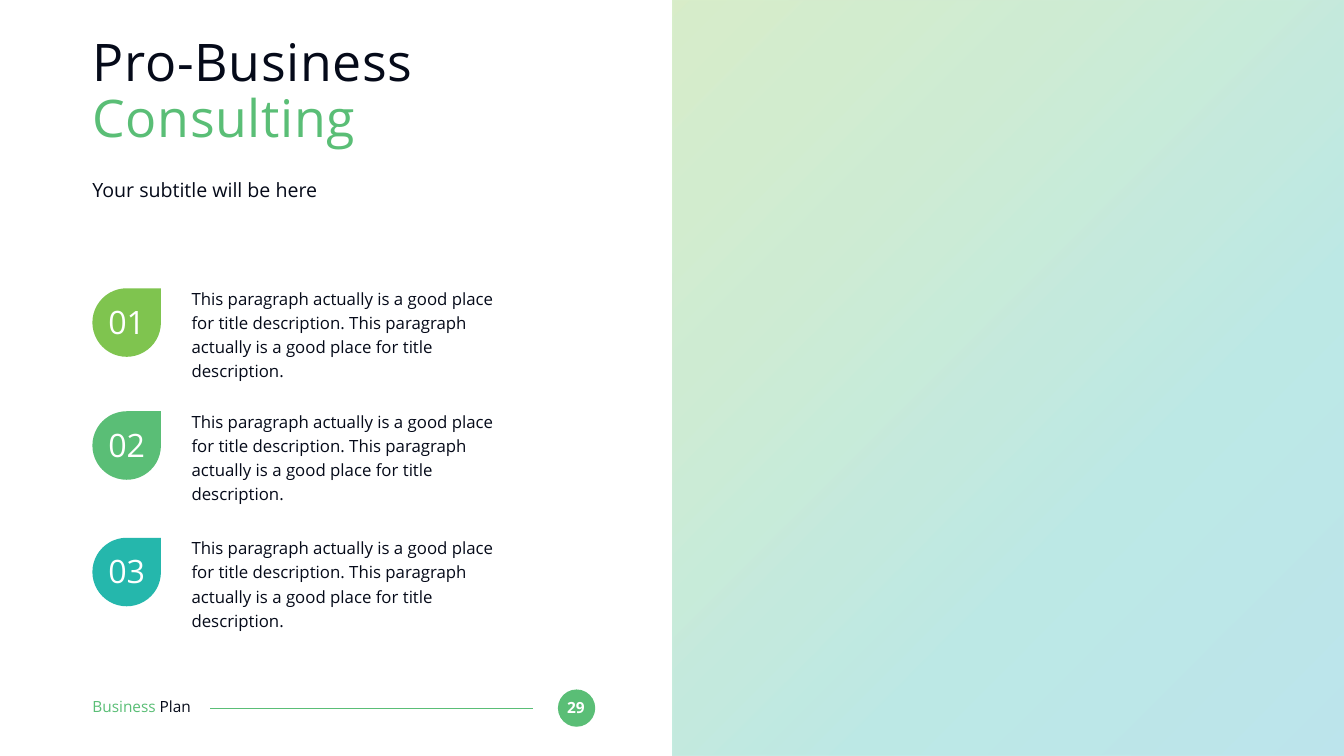
from dataclasses import dataclass

from lxml import etree
from pptx import Presentation
from pptx.dml.color import RGBColor
from pptx.enum.shapes import MSO_CONNECTOR, MSO_SHAPE
from pptx.enum.text import MSO_ANCHOR, MSO_AUTO_SIZE, PP_ALIGN
from pptx.oxml import parse_xml
from pptx.oxml.ns import nsdecls, qn
from pptx.util import Inches, Pt

STRAIGHT = MSO_CONNECTOR.STRAIGHT
RECTANGLE, OVAL, TEARDROP = MSO_SHAPE.RECTANGLE, MSO_SHAPE.OVAL, MSO_SHAPE.TEAR
LEFT, CENTER = PP_ALIGN.LEFT, PP_ALIGN.CENTER
TOP = MSO_ANCHOR.TOP
FIXED, GROW = MSO_AUTO_SIZE.NONE, MSO_AUTO_SIZE.SHAPE_TO_FIT_TEXT

COLUMNS, ROWS = 80, 45
CELL = Inches(1 / 3)
MARGIN = 5.5
HALF = COLUMNS / 2
DESCRIPTION = " ".join(["This paragraph actually is a good place for title description."] * 2)


@dataclass(frozen=True)
class Theme:
    """Colours, type sizes and font of the slide."""

    font: str = "Open Sans"
    ink: str = "050A19"
    white: str = "FFFFFF"
    lime: str = "7FC44F"
    green: str = "5ABE76"
    teal: str = "25B7AC"
    blue: str = "26A6C1"
    title: int = 74
    subtitle: int = 28
    number: int = 46
    description: int = 24
    footer: int = 22


THEME = Theme()


def cells(*values):
    """Convert grid counts to slide lengths."""
    return [round(value * CELL) for value in values]


def place(shape, left, top, width, height):
    """Move and size a shape on the grid."""
    shape.left, shape.top, shape.width, shape.height = cells(left, top, width, height)


def write_text(shape, runs, size, align=LEFT, bold=False, line_spacing=None,
               space_before=0, letter_spacing=None, auto_size=GROW):
    """Fill a shape with one paragraph of (text, colour) runs."""
    frame = shape.text_frame
    frame.margin_left = frame.margin_top = frame.margin_right = frame.margin_bottom = 0
    frame.word_wrap = True
    frame.auto_size = auto_size
    frame.vertical_anchor = TOP
    paragraph = frame.paragraphs[0]
    paragraph.alignment = align
    paragraph.space_before = Pt(space_before)
    if line_spacing:
        paragraph.line_spacing = line_spacing
    for text, color in runs:
        run = paragraph.add_run()
        run.text = text
        run.font.name = THEME.font
        run.font.size = Pt(size)
        run.font.bold = bold
        run.font.color.rgb = RGBColor.from_string(color)
        if letter_spacing:
            run.font._element.set("spc", str(letter_spacing * 100))
    return paragraph


def add_text(slide, box, runs, size, **text_format):
    """Add a text box on the grid."""
    write_text(slide.shapes.add_textbox(*cells(*box)), runs, size, **text_format)


def add_shape(slide, kind, box, color=None):
    """Add a preset shape without outline or shadow."""
    shape = slide.shapes.add_shape(kind, *cells(*box))
    shape.shadow.inherit = False
    shape.line.fill.background()
    if color:
        shape.fill.solid()
        shape.fill.fore_color.rgb = RGBColor.from_string(color)
    return shape


def add_gradient_panel(slide, colors):
    """Cover the right half with a translucent diagonal gradient."""
    panel = add_shape(slide, RECTANGLE, (HALF, 0, HALF, ROWS))
    stops = "".join(
        f'<a:gs pos="{index * 33000 if index < 3 else 100000}">'
        f'<a:srgbClr val="{color}"><a:alpha val="30000"/></a:srgbClr></a:gs>'
        for index, color in enumerate(colors))
    gradient = parse_xml(
        f'<a:gradFill {nsdecls("a")} rotWithShape="1"><a:gsLst>{stops}</a:gsLst>'
        '<a:lin ang="2700000" scaled="0"/></a:gradFill>')
    panel._element.spPr.find(qn("a:prstGeom")).addnext(gradient)


def add_rule(slide, start, end, row):
    """Add the horizontal footer line."""
    rule = slide.shapes.add_connector(STRAIGHT, *cells(start, row, end, row))
    rule.line.color.rgb = RGBColor.from_string(THEME.green)
    rule.line.width = Pt(1.5)
    etree.SubElement(rule._element.spPr, qn("a:effectLst"))


def add_heading(slide):
    """Fill the title and body placeholders."""
    title, subtitle = slide.shapes.title, slide.placeholders[1]
    place(title, MARGIN, 2.2, 29.7, 7.56)
    write_text(title, [("Pro-Business ", THEME.ink), ("Consulting", THEME.green)],
               THEME.title, line_spacing=0.9, letter_spacing=1, auto_size=FIXED)
    place(subtitle, MARGIN, 10.77, 29.7, 1.47)
    paragraph = write_text(subtitle, [("Your subtitle will be here", THEME.ink)],
                           THEME.subtitle, line_spacing=0.9, space_before=20,
                           auto_size=FIXED)
    properties = paragraph._p.get_or_add_pPr()
    properties.set("marL", "0")
    properties.set("indent", "0")
    etree.SubElement(properties, qn("a:buNone"))


def add_item(slide, number, top, color):
    """Add a numbered drop with its description."""
    add_text(slide, (11.4, top - 0.23, 18.84, 4.26), [(DESCRIPTION, THEME.ink)],
             THEME.description, line_spacing=1.2)
    add_shape(slide, TEARDROP, (MARGIN, top, 4.08, 4.08), color)
    add_text(slide, (MARGIN + 0.39, top + 0.82, 3.3, 2.31),
             [(f"{number:02}", THEME.white)], THEME.number, align=CENTER)


def add_footer(slide):
    """Add the footer label, rule and page number."""
    add_shape(slide, OVAL, (33.21, 41.04, 2.22, 2.22), THEME.green)
    add_text(slide, (33.39, 41.55, 1.77, 1.11), [("29", THEME.white)],
             THEME.footer, align=CENTER, bold=True)
    add_rule(slide, 31.71, 12.48, 42.15)
    add_text(slide, (MARGIN, 41.52, 7.77, 1.11),
             [("Business ", THEME.green), ("Plan", THEME.ink)], THEME.footer)


def main():
    """Build and save the slide."""
    presentation = Presentation()
    presentation.slide_width, presentation.slide_height = cells(COLUMNS, ROWS)
    slide = presentation.slides.add_slide(presentation.slide_layouts[1])
    add_footer(slide)
    add_gradient_panel(slide, (THEME.lime, THEME.green, THEME.teal, THEME.blue))
    add_heading(slide)
    items = ((17.16, THEME.lime), (24.48, THEME.green), (32.01, THEME.teal))
    for number, (top, color) in enumerate(items, start=1):
        add_item(slide, number, top, color)
    presentation.save("out.pptx")


if __name__ == "__main__":
    main()
